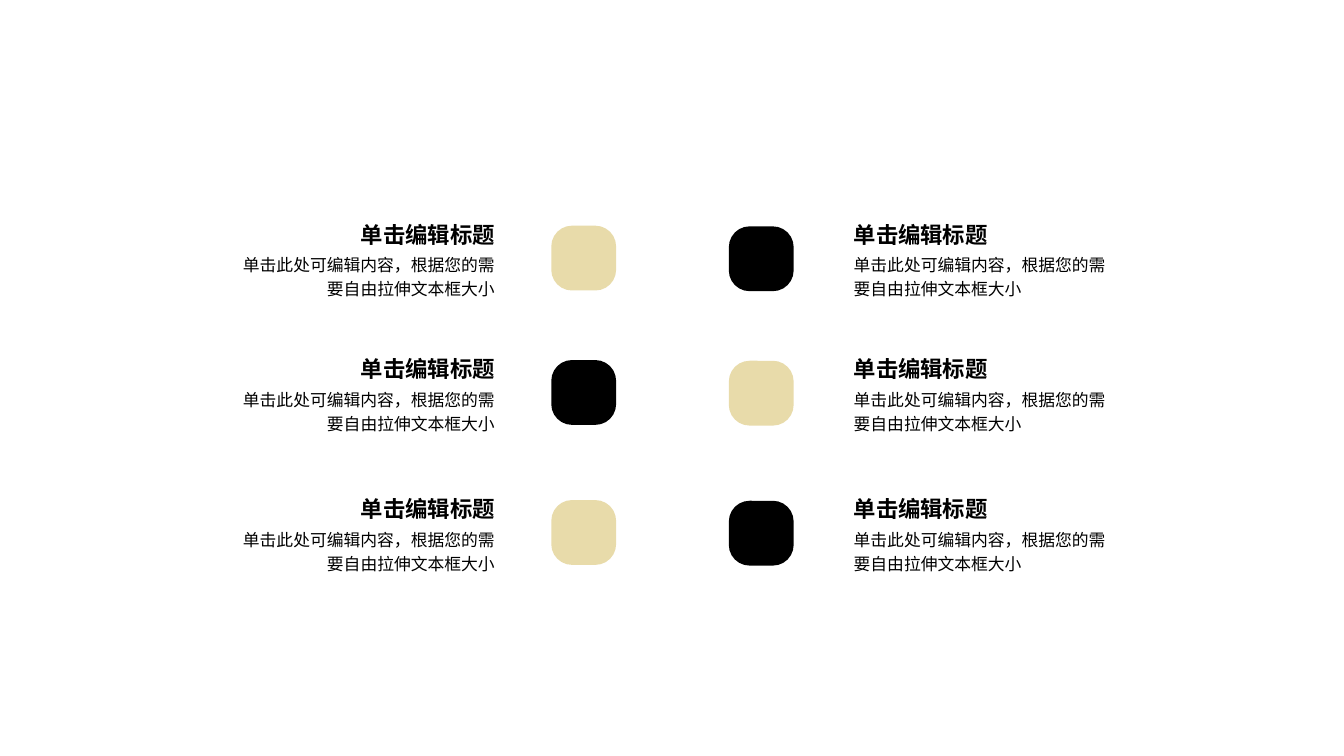
"""Build a slide with six titled text blocks beside two columns of rounded tiles."""
from pptx import Presentation
from pptx.dml.color import RGBColor
from pptx.enum.shapes import MSO_SHAPE as Shape
from pptx.enum.text import MSO_AUTO_SIZE as Fit, PP_ALIGN as Align
from pptx.util import Pt

BLACK = RGBColor(0x00, 0x00, 0x00)
SAND = RGBColor(0xE8, 0xDB, 0xAA)
HEAD = "单击编辑标题"
BODY = "单击此处可编辑内容，根据您的需要自由拉伸文本框大小"
TILE = 46.3

deck = Presentation()
deck.slide_width, deck.slide_height = Pt(960), Pt(540)
slide = deck.slides.add_slide(deck.slide_layouts[6])


def add_tile(left, top, color):
    tile = slide.shapes.add_shape(
        Shape.ROUNDED_RECTANGLE, Pt(left), Pt(top), Pt(TILE), Pt(TILE))
    tile.adjustments[0] = 0.32
    tile.shadow.inherit = False
    tile.fill.solid()
    tile.fill.fore_color.rgb = color
    tile.line.fill.background()


def add_text(left, top, width, height, text, size, bold, align):
    box = slide.shapes.add_textbox(Pt(left), Pt(top), Pt(width), Pt(height))
    frame = box.text_frame
    frame.margin_left = frame.margin_right = 0
    frame.margin_top = frame.margin_bottom = 0
    frame.word_wrap = True
    frame.auto_size = Fit.SHAPE_TO_FIT_TEXT
    frame.text = text
    para = frame.paragraphs[0]
    para.alignment = align
    para.line_spacing = 1.2
    font = para.runs[0].font
    font.name, font.size, font.bold = "Arial", Pt(size), bold
    font.color.rgb = BLACK


sides = [(393.8, 0, 353.5, Align.RIGHT), (520.6, 0.5, 609.8, Align.LEFT)]
for row, top in enumerate([154, 250, 350]):
    for col, (left, drop, edge, align) in enumerate(sides):
        add_tile(left, top + 7.2 + drop, BLACK if (row + col) % 2 else SAND)
        for text, size, bold, shift, width, height in [
                (HEAD, 16, True, 0, 102.2, 23), (BODY, 12, False, 25.2, 183.6, 34.6)]:
            start = edge - width if align == Align.RIGHT else edge
            add_text(start, top + shift, width, height, text, size, bold, align)

deck.save("out.pptx")
